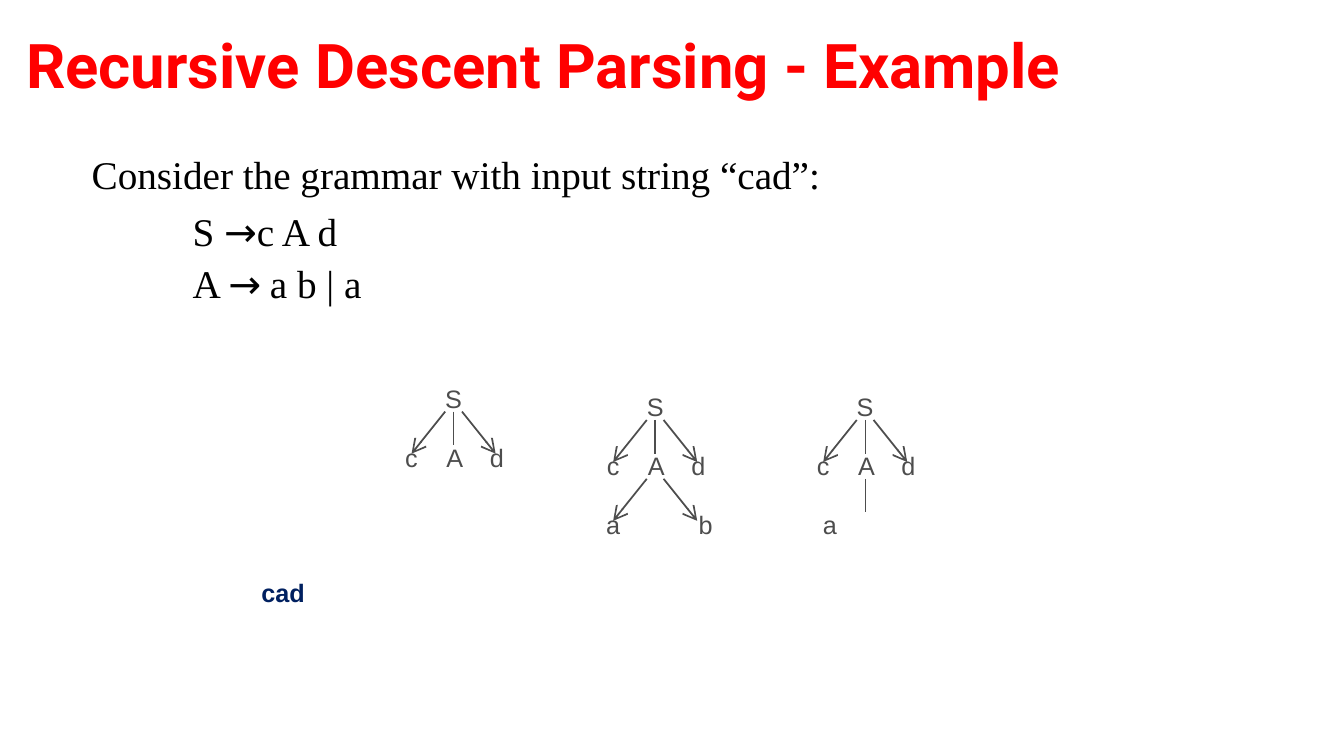
from dataclasses import dataclass, field
from typing import Any

import lxml.etree
import pptx
import pptx.dml.color
import pptx.enum.shapes
import pptx.enum.text
import pptx.oxml.ns
import pptx.util

WIDTH, HEIGHT = 13.33, 7.5
COLUMNS, ROWS = 160, 90
COLUMN, ROW = WIDTH / COLUMNS, HEIGHT / ROWS
LEVEL_ROWS, LABEL_SIZE, BRANCH = 7, 4, 5
LABEL_RISE = 3.4
GREY, BLACK, RED, NAVY = "4D4D4D", "000000", "FF0000", "002060"


@dataclass(frozen=True)
class Run:
    text: str
    font: str
    size: float
    color: str
    bold: bool = False


@dataclass(frozen=True)
class Line:
    runs: list[Run]
    indent: float = 0.12
    format: dict[str, Any] = field(default_factory=dict)


@dataclass(frozen=True)
class Block:
    column: float
    row: float
    columns: float
    rows: float
    lines: list[Line]
    anchor: Any = pptx.enum.text.MSO_ANCHOR.TOP


@dataclass(frozen=True)
class Node:
    text: str
    level: int
    offset: float = 0


@dataclass(frozen=True)
class Edge:
    level: int
    direction: int


@dataclass(frozen=True)
class Tree:
    column: float
    row: float
    leaves: list[Node]
    lower_edges: list[Edge]


def across(columns: float) -> int:
    return pptx.util.Inches(columns * COLUMN)


def down(rows: float) -> int:
    return pptx.util.Inches(rows * ROW)


def rgb(value: str) -> pptx.dml.color.RGBColor:
    return pptx.dml.color.RGBColor.from_string(value)


def apply(target: Any, values: dict[str, Any]) -> None:
    for name, value in values.items():
        setattr(target, name, value)


def add_block(shapes: Any, block: Block) -> None:
    shape = shapes.add_textbox(
        across(block.column), down(block.row), across(block.columns), down(block.rows))
    frame = shape.text_frame
    apply(frame, {"margin_left": 0, "margin_right": 0, "margin_top": 0, "margin_bottom": 0,
                  "word_wrap": True, "vertical_anchor": block.anchor})
    for index, line in enumerate(block.lines):
        paragraph = frame.add_paragraph() if index else frame.paragraphs[0]
        paragraph._p.get_or_add_pPr().set("marL", str(across(line.indent)))
        apply(paragraph, line.format)
        for part in line.runs:
            run = paragraph.add_run()
            run.text = part.text
            apply(run.font, {"name": part.font, "size": pptx.util.Pt(part.size),
                             "bold": part.bold})
            run.font.color.rgb = rgb(part.color)


def add_edge(shapes: Any, tree: Tree, edge: Edge) -> None:
    start = tree.row + edge.level * LEVEL_ROWS
    end = start + (BRANCH if edge.direction else 4)
    connector = shapes.add_connector(
        pptx.enum.shapes.MSO_CONNECTOR.STRAIGHT,
        across(tree.column + edge.direction), down(start),
        across(tree.column + edge.direction * BRANCH), down(end))
    connector.line.color.rgb = rgb(GREY)
    connector.line.width = pptx.util.Pt(1.25 if edge.direction else 1)
    qualify = pptx.oxml.ns.qn
    if edge.direction:
        lxml.etree.SubElement(connector.line._get_or_add_ln(), qualify("a:tailEnd"),
                              {"type": "arrow", "w": "lg", "len": "lg"})
    lxml.etree.SubElement(connector._element.spPr, qualify("a:effectLst"))


def add_tree(slide: Any, tree: Tree) -> None:
    shapes = slide.shapes.add_group_shape().shapes
    for edge in [Edge(0, direction) for direction in (-1, 0, 1)] + tree.lower_edges:
        add_edge(shapes, tree, edge)
    nodes = [Node("S", 0), Node("c", 1, -BRANCH), Node("A", 1, 0.15), Node("d", 1, 5.15)]
    centred = {"alignment": pptx.enum.text.PP_ALIGN.CENTER}
    for node in nodes + tree.leaves:
        label = Line([Run(node.text, "Arial", 18, GREY)], 0, centred)
        add_block(shapes, Block(tree.column + node.offset - LABEL_SIZE / 2,
                                tree.row + node.level * LEVEL_ROWS - LABEL_RISE,
                                LABEL_SIZE, LABEL_SIZE, [label]))


def grammar_runs(left: str, arrow: str, right: str) -> list[Run]:
    parts = ((left, "Times New Roman"), (arrow, "Cabin"), (right, "Times New Roman"))
    return [Run(text, font, 28, BLACK) for text, font in parts]


BLOCKS = [
    Block(10.8, 16.8, 140.4, 20, [
        Line([Run("Consider the grammar with input string “cad”:",
                  "Times New Roman", 28, BLACK)], format={"line_spacing": 1.2}),
        Line(grammar_runs("S ", "→", "c A d"), 12.12, {"line_spacing": 1.2}),
        Line(grammar_runs("A ", "→ ", "a b | a"), 12.12,
             {"space_before": pptx.util.Pt(3.9)}),
    ]),
    Block(31, 68.7, 9, 4, [Line([Run("cad", "Arial", 18, NAVY, True)])]),
    Block(3, 3.1, 135, 9,
          [Line([Run("Recursive Descent Parsing - Example", "Roboto", 44, RED, True)])],
          pptx.enum.text.MSO_ANCHOR.MIDDLE),
]

TREES = [
    Tree(54, 49, [], []),
    Tree(78, 50, [Node("a", 2, -BRANCH), Node("b", 2, 6)], [Edge(1, -1), Edge(1, 1)]),
    Tree(103, 50, [Node("a", 2, -4.2)], [Edge(1, 0)]),
]


def main() -> None:
    """Build the recursive descent parsing slide."""
    presentation = pptx.Presentation()
    apply(presentation, {"slide_width": pptx.util.Inches(WIDTH),
                         "slide_height": pptx.util.Inches(HEIGHT)})
    slide = presentation.slides.add_slide(presentation.slide_layouts[6])
    for block in BLOCKS:
        add_block(slide.shapes, block)
    for tree in TREES:
        add_tree(slide, tree)
    presentation.save("out.pptx")


if __name__ == "__main__":
    main()
